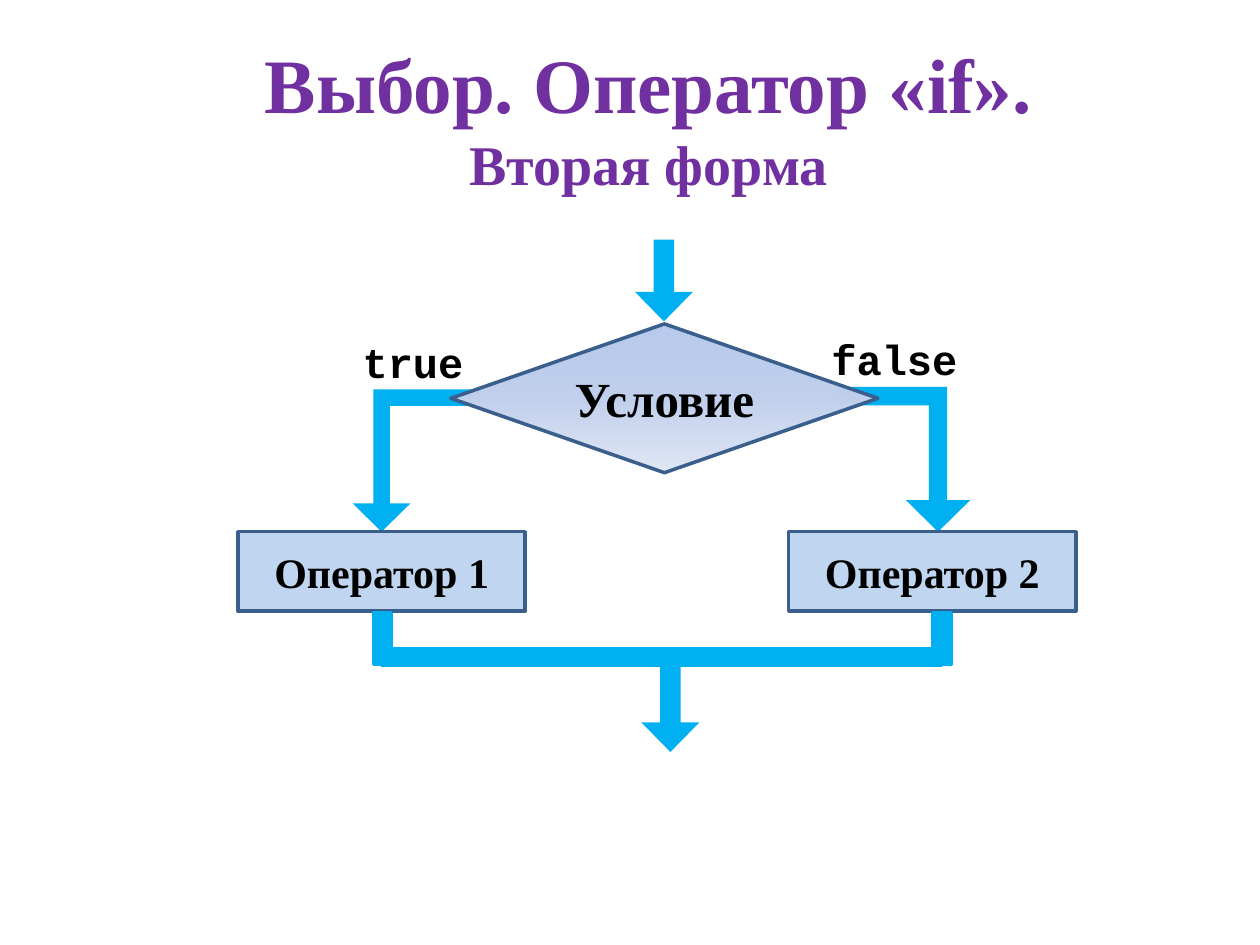
import pptx
import pptx.dml.color
import pptx.enum.shapes
import pptx.enum.text
import pptx.oxml
import pptx.oxml.ns
import pptx.util
from dataclasses import dataclass

Cm = pptx.util.Cm
Pt = pptx.util.Pt
SHAPES = pptx.enum.shapes.MSO_SHAPE
ALIGN = pptx.enum.text.PP_ALIGN
ANCHOR = pptx.enum.text.MSO_ANCHOR


@dataclass(frozen=True)
class Theme:
    title: str = "7030A0"
    flow: str = "00B0F0"
    outline: str = "3A5F8C"
    block: str = "8EB4E3"
    block_opacity: int = 55
    text: str = "000000"
    condition: tuple = ((0, "ABC1E9", 83), (52, "C2D1ED", 100), (100, "E1E8F5", 100))
    serif: str = "Times New Roman"
    mono: str = "Courier New"
    title_size: int = 44
    subtitle_size: int = 32
    condition_size: int = 28
    label_size: int = 24
    line_width: int = 2


THEME = Theme()

# Boxes are left, top, width, height in centimetres.
TITLE = ("Выбор. Оператор «if».", "Вторая форма")
TITLE_BOX = (1.65, 0.76, 22.86, 3.18)
CONDITION = ("Условие", (9.09, 6.53, 8.61, 3.0))
OPERATORS = [("Оператор 2", 15.9), ("Оператор 1", 4.8)]
OPERATOR_TOP, OPERATOR_SIZE = 10.72, (5.79, 1.6)
BRANCH_ARROWS = [((16.89, 7.8, 2.67, 2.92), True), ((7.11, 7.85, 2.39, 2.87), False)]
ENTRY_ARROW = (12.8, 4.83, 1.17, 1.65)
EXIT_ARROW = (12.93, 13.41, 1.17, 1.75)
MERGE_BARS = [(7.7, 13.08, 11.28, 0.33), (7.53, 12.36, 0.36, 1.04), (18.81, 12.36, 0.36, 1.04)]
BRANCH_LABELS = [("true", (6.76, 6.58, 3.1, 1.24)), ("false", (16.21, 6.53, 3.58, 1.24))]
BENT_ADJUSTMENTS = (0.139, 0.243, 0.239)
DOWN_ADJUSTMENTS = (0.357, 0.51)


def rgb(color):
    return pptx.dml.color.RGBColor.from_string(color)


def style_run(run, size, color=THEME.text, font=THEME.serif):
    run.font.name, run.font.size, run.font.bold = font, Pt(size), True
    run.font.color.rgb = rgb(color)


def add_shape(slide, kind, box, fill, line=None, adjustments=()):
    shape = slide.shapes.add_shape(kind, *map(Cm, box))
    shape.shadow.inherit = False
    shape.fill.solid()
    shape.fill.fore_color.rgb = rgb(fill)
    if line:
        shape.line.color.rgb = rgb(line)
        shape.line.width = Pt(THEME.line_width)
    else:
        shape.line.fill.background()
    for index, value in enumerate(adjustments):
        shape.adjustments[index] = value
    return shape


def set_centred_text(shape, text, size):
    frame = shape.text_frame
    frame.text = text
    frame.vertical_anchor = ANCHOR.MIDDLE
    frame.paragraphs[0].alignment = ALIGN.CENTER
    style_run(frame.paragraphs[0].runs[0], size)


def set_opacity(shape, percent):
    color = shape.fill._xPr.find(".//" + pptx.oxml.ns.qn("a:srgbClr"))
    alpha = pptx.oxml.parse_xml(f'<a:alpha {pptx.oxml.ns.nsdecls("a")} val="{percent * 1000}"/>')
    color.append(alpha)


def set_vertical_gradient(shape, stops):
    """Replace the solid fill by a top-to-bottom gradient of (position, colour, opacity)."""
    stop_xml = "".join(
        f'<a:gs pos="{position * 1000}"><a:srgbClr val="{color}">'
        f'<a:alpha val="{opacity * 1000}"/></a:srgbClr></a:gs>'
        for position, color, opacity in stops)
    gradient = pptx.oxml.parse_xml(
        f'<a:gradFill {pptx.oxml.ns.nsdecls("a")} rotWithShape="1"><a:gsLst>{stop_xml}</a:gsLst>'
        '<a:lin ang="5400000" scaled="0"/></a:gradFill>')
    properties = shape._element.spPr
    properties.replace(properties.find(pptx.oxml.ns.qn("a:solidFill")), gradient)


def add_text_box(slide, box):
    frame = slide.shapes.add_textbox(*map(Cm, box)).text_frame
    frame.word_wrap = True
    return frame


def add_branch_label(slide, text, box):
    frame = add_text_box(slide, box)
    frame.margin_top = Cm(0.2)
    paragraph = frame.paragraphs[0]
    paragraph.text = text
    paragraph.alignment = ALIGN.JUSTIFY
    paragraph.space_after = Pt(8.5)
    paragraph._p.get_or_add_pPr().set("marL", str(Cm(0.3)))
    style_run(paragraph.runs[0], THEME.label_size, font=THEME.mono)


def add_title(slide):
    frame = add_text_box(slide, TITLE_BOX)
    frame.vertical_anchor = ANCHOR.MIDDLE
    paragraph = frame.paragraphs[0]
    paragraph.text = "\v".join(TITLE)
    paragraph.alignment = ALIGN.CENTER
    for run, size in zip(paragraph.runs, (THEME.title_size, THEME.subtitle_size)):
        style_run(run, size, THEME.title)


def main():
    presentation = pptx.Presentation()
    presentation.slide_width, presentation.slide_height = Cm(25.4), Cm(19.05)
    slide = presentation.slides.add_slide(presentation.slide_layouts[6])

    for box, flipped in BRANCH_ARROWS:
        arrow = add_shape(slide, SHAPES.BENT_UP_ARROW, box, THEME.flow,
                          adjustments=BENT_ADJUSTMENTS)
        arrow.rotation = 180
        if flipped:
            arrow._element.spPr.xfrm.set("flipH", "1")

    text, box = CONDITION
    diamond = add_shape(slide, SHAPES.DIAMOND, box, THEME.block, THEME.outline)
    set_vertical_gradient(diamond, THEME.condition)
    set_centred_text(diamond, text, THEME.condition_size)

    for text, left in OPERATORS:
        block = add_shape(slide, SHAPES.RECTANGLE, (left, OPERATOR_TOP, *OPERATOR_SIZE),
                          THEME.block, THEME.outline)
        set_opacity(block, THEME.block_opacity)
        set_centred_text(block, text, THEME.label_size)

    for box in (ENTRY_ARROW, EXIT_ARROW):
        add_shape(slide, SHAPES.DOWN_ARROW, box, THEME.flow, adjustments=DOWN_ADJUSTMENTS)
    for box in MERGE_BARS:
        add_shape(slide, SHAPES.RECTANGLE, box, THEME.flow, THEME.flow)
    for text, box in BRANCH_LABELS:
        add_branch_label(slide, text, box)
    add_title(slide)
    presentation.save("out.pptx")


if __name__ == "__main__":
    main()
